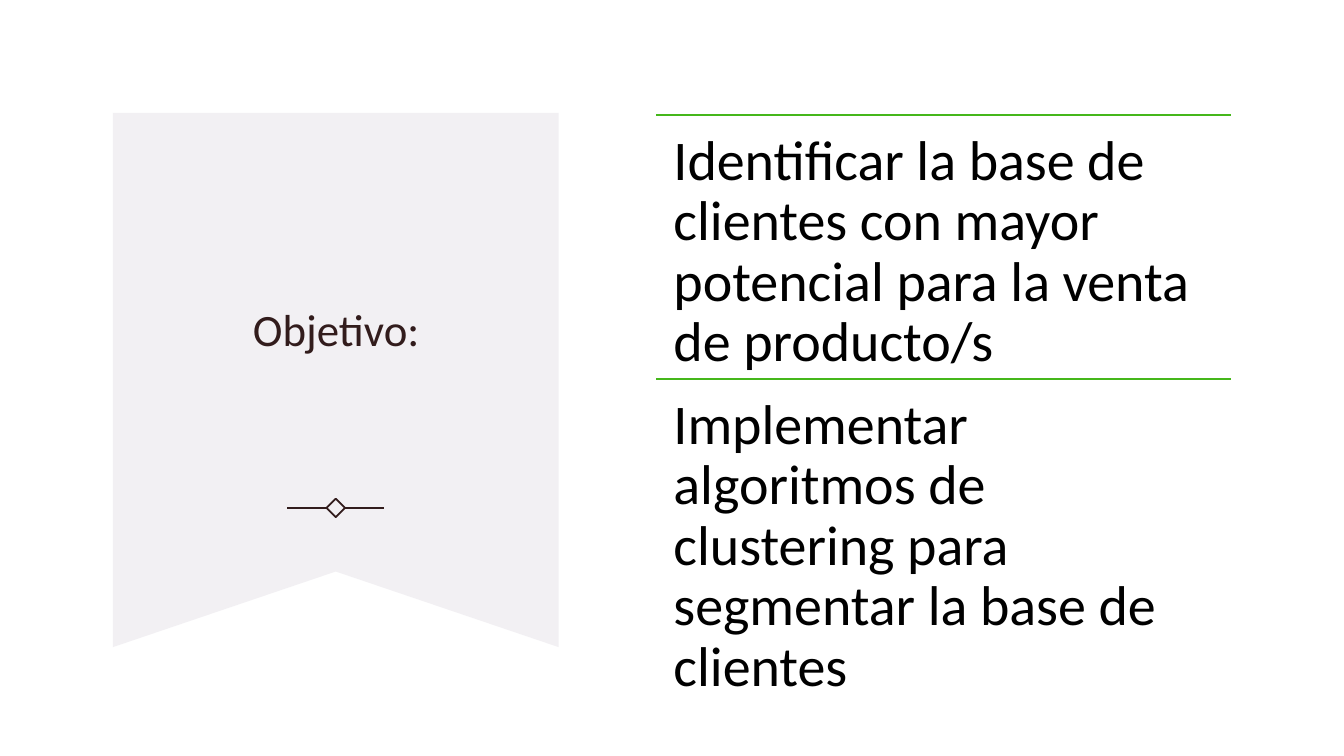
from lxml import etree
from pptx import Presentation
from pptx.dml.color import RGBColor
from pptx.enum.shapes import MSO_CONNECTOR, MSO_SHAPE
from pptx.enum.text import MSO_ANCHOR, PP_ALIGN
from pptx.oxml.ns import qn
from pptx.util import Inches, Pt

STRAIGHT = MSO_CONNECTOR.STRAIGHT
RECTANGLE = MSO_SHAPE.RECTANGLE
TOP, MIDDLE = MSO_ANCHOR.TOP, MSO_ANCHOR.MIDDLE
LEFT, CENTER = PP_ALIGN.LEFT, PP_ALIGN.CENTER

FONT = "Calibri"
WHITE, BANNER_FILL, BROWN, GREEN, BLACK = "FFFFFF", "F2F0F3", "321C1C", "45B71B", "000000"
GOALS = [
    "Identificar la base de clientes con mayor potencial para la venta de producto/s",
    "Implementar algoritmos de clustering para segmentar la base de clientes",
]


def color(value):
    return RGBColor.from_string(value)


def add_rule(slide, left, right, y, line_color, weight):
    line = slide.shapes.add_connector(STRAIGHT, Inches(left), Inches(y), Inches(right), Inches(y))
    line.line.color.rgb = color(line_color)
    line.line.width = Pt(weight)
    etree.SubElement(line._element.spPr, qn("a:effectLst"))


def add_text(slide, box, text, size, text_color, spacing, inset, anchor=TOP, align=LEFT):
    shape = slide.shapes.add_textbox(*map(Inches, box))
    frame = shape.text_frame
    frame.word_wrap = True
    frame.vertical_anchor = anchor
    frame.margin_left = frame.margin_right = Inches(inset)
    frame.margin_top = frame.margin_bottom = Inches(inset)
    frame.text = text
    paragraph = frame.paragraphs[0]
    paragraph.alignment = align
    paragraph.line_spacing = spacing
    font = paragraph.runs[0].font
    font.name = FONT
    font.size = Pt(size)
    font.color.rgb = color(text_color)


def add_ornament(slide, center_x, center_y):
    # Diamond between two short strokes
    side, gap, reach = 0.13, 0.09, 0.48
    diamond = slide.shapes.add_shape(RECTANGLE, Inches(center_x - side / 2),
                                     Inches(center_y - side / 2), Inches(side), Inches(side))
    diamond.rotation = 45
    diamond.shadow.inherit = False
    diamond.fill.background()
    diamond.line.color.rgb = color(BROWN)
    diamond.line.width = Pt(1.25)
    for direction in (-1, 1):
        add_rule(slide, center_x + direction * gap, center_x + direction * reach,
                 center_y, BROWN, 1.25)


def add_banner(slide, left, top, width, height):
    # Ribbon with a notched lower edge
    center, right, bottom = left + width / 2, left + width, top + height
    corners = [(right, top), (right, bottom), (center, bottom - 0.75), (left, bottom)]
    builder = slide.shapes.build_freeform(Inches(left), Inches(top))
    builder.add_line_segments([(Inches(x), Inches(y)) for x, y in corners])
    ribbon = builder.convert_to_shape()
    ribbon.shadow.inherit = False
    ribbon.fill.solid()
    ribbon.fill.fore_color.rgb = color(BANNER_FILL)
    ribbon.line.fill.background()

    # Heading and ornament
    add_text(slide, (left + 0.44, top + 0.69, width - 0.87, 2.85), "Objetivo:",
             32, BROWN, 1.1, 0.05, MIDDLE, CENTER)
    add_ornament(slide, center, top + 3.92)


def add_goals(slide, left, top, width, height):
    # Each goal sits under its own rule
    row_height = height / len(GOALS)
    for index, goal in enumerate(GOALS):
        y = top + index * row_height
        add_rule(slide, left, left + width, y, GREEN, 1)
        add_text(slide, (left, y, width, row_height), goal, 40, BLACK, 0.9, 0.17)


def main():
    presentation = Presentation()
    presentation.slide_width = Inches(13.33)
    presentation.slide_height = Inches(7.5)
    slide = presentation.slides.add_slide(presentation.slide_layouts[6])
    slide.background.fill.solid()
    slide.background.fill.fore_color.rgb = color(WHITE)
    add_banner(slide, 1.12, 1.12, 4.42, 5.3)
    add_goals(slide, 6.51, 1.14, 5.7, 5.24)
    presentation.save("out.pptx")


if __name__ == "__main__":
    main()
